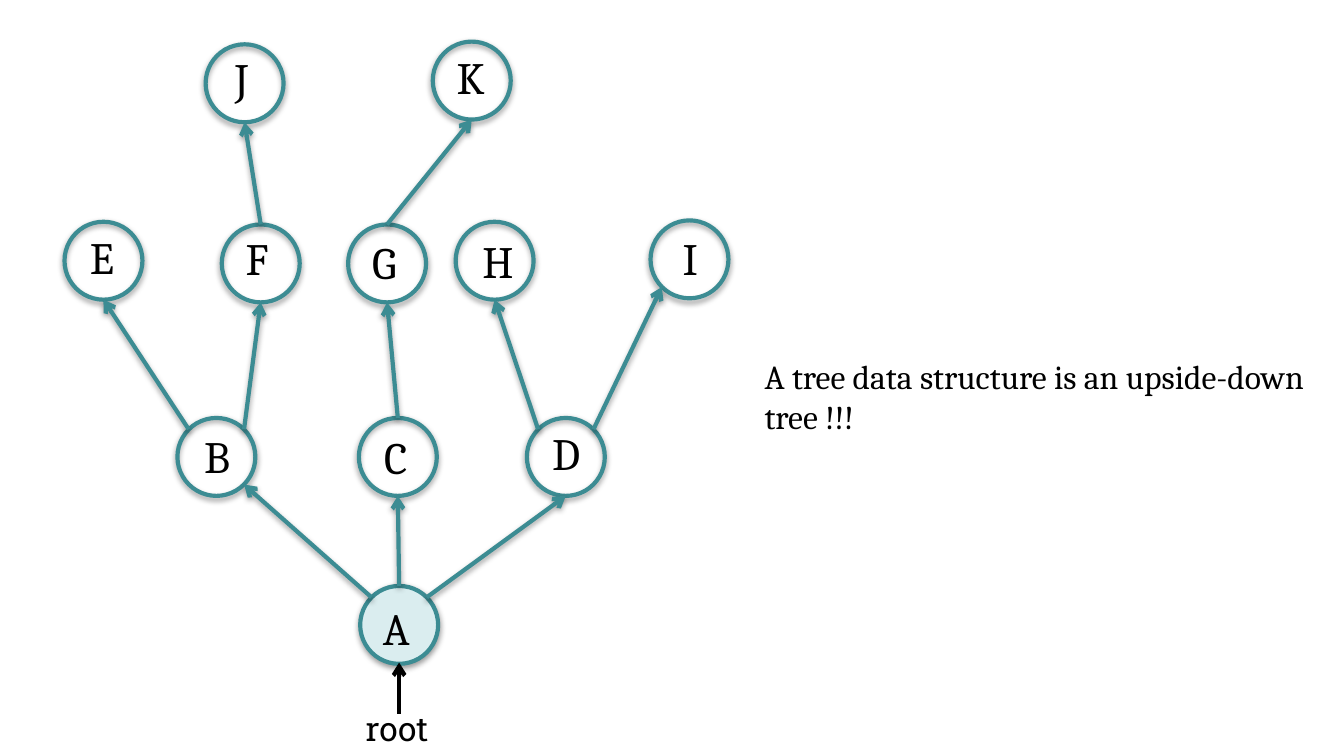
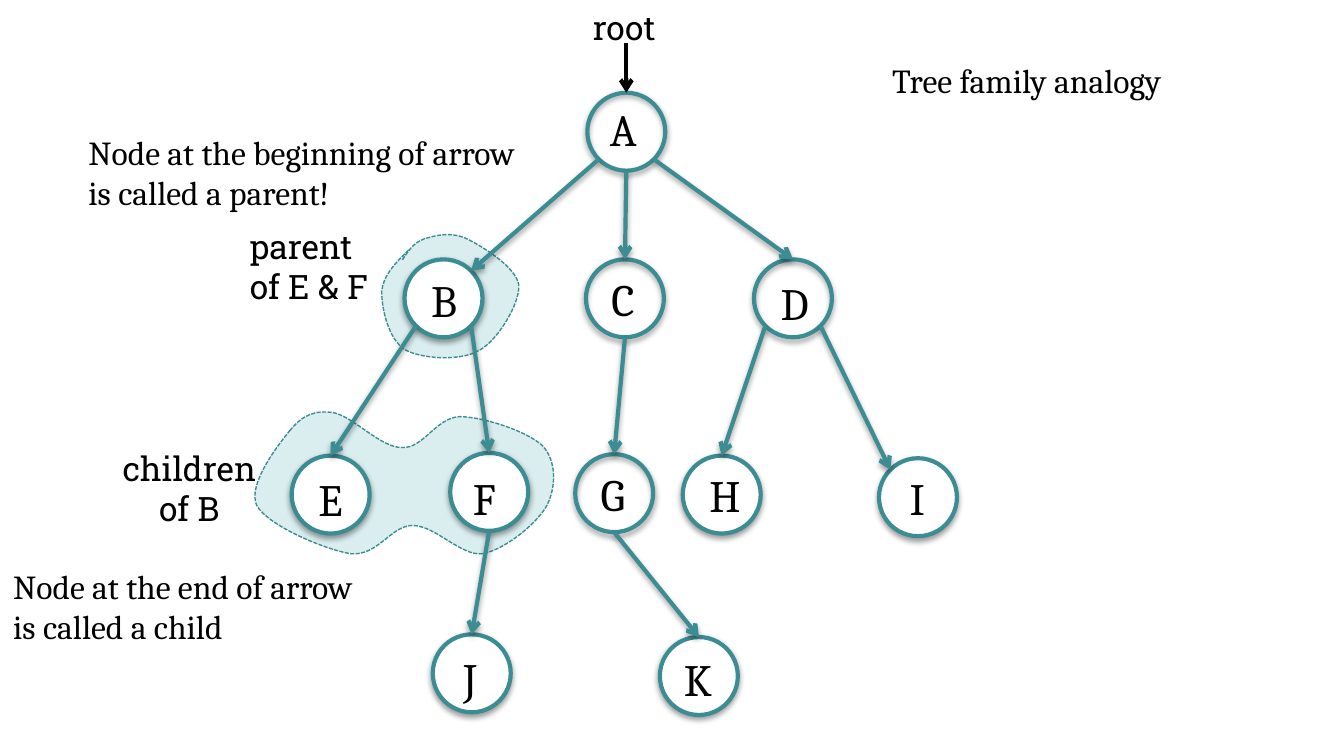
from lxml import etree
from pptx import Presentation, util as u
from pptx.dml.color import RGBColor
from pptx.enum import dml, shapes, text
from pptx.oxml.ns import qn

PX = 9144  # EMU in one px, at 100 px to the inch
NODE = 58
DIAGONAL = 0.71
SERIF, SLAB = "Cambria", "Roboto Slab"
COLORS = {"teal": "3C8C93", "tint": "DAEDEF", "white": "FFFFFF", "black": "000000"}

LABEL_WIDTHS = dict(A=40, B=39, C=38, D=41, E=37, F=36, G=41, H=41, I=29, J=31, K=38)

# Directions on a node's outline for a tree that grows downwards
BELOW, ABOVE = (0, 1), (0, -1)
BELOW_LEFT, BELOW_RIGHT = (-DIAGONAL, DIAGONAL), (DIAGONAL, DIAGONAL)
ABOVE_LEFT, ABOVE_RIGHT = (-DIAGONAL, -DIAGONAL), (DIAGONAL, -DIAGONAL)

EDGES = [
    ("A", BELOW_LEFT, "B", ABOVE_RIGHT),
    ("A", BELOW, "C", ABOVE),
    ("A", BELOW_RIGHT, "D", ABOVE),
    ("B", BELOW_LEFT, "E", ABOVE),
    ("B", BELOW_RIGHT, "F", ABOVE),
    ("C", BELOW, "G", ABOVE),
    ("D", BELOW_LEFT, "H", ABOVE),
    ("D", BELOW_RIGHT, "I", ABOVE_LEFT),
    ("F", BELOW, "J", ABOVE),
    ("G", BELOW, "K", ABOVE),
]

# Node: left, top, label left, label top
UPWARD_TREE = {
    "A": (268, 436, 275, 442), "B": (132, 311, 142, 314),
    "C": (267, 311, 276, 315), "D": (392, 311, 401, 312),
    "E": (48, 165, 57, 166), "F": (165, 167, 173, 167),
    "G": (259, 167, 267, 170), "H": (339, 165, 349, 169),
    "I": (484, 164, 498, 167), "J": (153, 33, 165, 33),
    "K": (322, 31, 330, 32),
}
DOWNWARD_TREE = {
    "A": (437, 69, 444, 71), "B": (301, 193, 311, 198),
    "C": (436, 193, 445, 197), "D": (561, 193, 571, 200),
    "E": (217, 339, 227, 346), "F": (335, 337, 342, 345),
    "G": (428, 338, 437, 342), "H": (508, 339, 518, 343),
    "I": (654, 341, 667, 345), "J": (322, 472, 335, 479),
    "K": (491, 474, 499, 480),
}

# Outlines: a box, a start point, then cubic curves (two controls and an end)
CHILDREN_REGION = (190, 307, 222, 105), (216, 320), [
    (206, 332, 184, 361, 191, 376), (199, 391, 242, 409, 261, 412),
    (281, 414, 291, 391, 307, 391), (324, 391, 343, 414, 359, 412),
    (376, 409, 400, 389, 407, 376), (414, 362, 414, 343, 404, 332),
    (393, 321, 359, 310, 342, 310), (324, 311, 315, 334, 299, 333),
    (283, 333, 263, 310, 248, 307), (234, 305, 225, 309, 216, 320),
]
PARENT_REGION = (284, 175, 101, 92), (304, 186), [
    (294, 196, 285, 205, 284, 217), (284, 230, 289, 252, 301, 260),
    (313, 267, 342, 269, 356, 261), (370, 254, 387, 226, 386, 212),
    (384, 199, 360, 184, 348, 178), (336, 172, 324, 175, 315, 178),
    (307, 181, 303, 188, 299, 194),
]


def px(*values):
    return [round(v * PX) for v in values]


def rgb(name):
    return RGBColor.from_string(COLORS[name])


def set_line(s, color, width):
    s.line.color.rgb = rgb(color)
    s.line.width = u.Pt(width)


def set_fill(s, color):
    if color:
        s.fill.solid()
        s.fill.fore_color.rgb = rgb(color)
    else:
        s.fill.background()


def add_effects(s, shadow):
    """Replace the theme's effects, with a soft shadow below or with none."""
    effects = etree.SubElement(s._element.spPr, qn("a:effectLst"))
    if shadow:
        outer = etree.SubElement(effects, qn("a:outerShdw"), blurRad="40000",
                                 dist="20000", dir="5400000", rotWithShape="0")
        black = etree.SubElement(outer, qn("a:srgbClr"), val=COLORS["black"])
        etree.SubElement(black, qn("a:alpha"), val="38000")


def add_text(slide, words, box, font=SERIF, size=18, wrap=True, align=None):
    tf = slide.shapes.add_textbox(*px(*box)).text_frame
    tf.word_wrap = wrap
    tf.auto_size = text.MSO_AUTO_SIZE.SHAPE_TO_FIT_TEXT
    p = tf.paragraphs[0]
    p.text = words
    p.alignment = align
    p.font.name = font
    p.font.size = u.Pt(size)
    p.font.color.rgb = rgb("black")


def add_arrow(slide, start, end, color="teal", shadow=True):
    s = slide.shapes.add_connector(shapes.MSO_CONNECTOR.STRAIGHT, *px(*start, *end))
    set_line(s, color, 2.25)
    etree.SubElement(s.line._get_or_add_ln(), qn("a:tailEnd"), type="arrow")
    add_effects(s, shadow)


def add_node(slide, left, top, fill):
    s = slide.shapes.add_shape(shapes.MSO_SHAPE.OVAL, *px(left, top, NODE, NODE))
    set_fill(s, fill)
    set_line(s, "teal", 2.25)
    add_effects(s, True)


def outline_point(node, direction, flip):
    """Point where an arrow meets a node; flip is -1 for an upward tree."""
    left, top = node[:2]
    dx, dy = direction
    radius = NODE / 2
    return left + radius * (1 + dx), top + radius * (1 + flip * dy)


def add_tree(slide, nodes, fills, flip=1):
    for name, (left, top, *_) in nodes.items():
        add_node(slide, left, top, fills.get(name))
    for parent, leave, child, arrive in EDGES:
        add_arrow(slide, outline_point(nodes[parent], leave, flip),
                  outline_point(nodes[child], arrive, flip))
    for name, (*_, left, top) in nodes.items():
        add_text(slide, name, (left, top, LABEL_WIDTHS[name], 50), size=24, wrap=False)


def add_root(slide, label_left, label_top, start, end):
    add_text(slide, "root", (label_left, label_top, 67, 40), SLAB, wrap=False,
             align=text.PP_ALIGN.CENTER)
    add_arrow(slide, start, end, "black", shadow=False)


def bend_outline(s, box, start, curves):
    """Fit a freeform to its box and turn its straight segments into curves."""
    left, top, width, height = box
    s.left, s.top, s.width, s.height = px(*box)
    outline = next(s._element.iter(qn("a:path")))
    for key, value in zip("wh", px(width, height)):
        outline.set(key, str(value))

    def add_points(parent, values):
        for x, y in zip(values[::2], values[1::2]):
            x, y = px(x - left, y - top)
            etree.SubElement(parent, qn("a:pt"), x=str(x), y=str(y))

    move = outline.find(qn("a:moveTo"))
    move.remove(move[0])
    add_points(move, start)
    for segment, curve in zip(outline.findall(qn("a:lnTo")), curves):
        bend = etree.Element(qn("a:cubicBezTo"))
        add_points(bend, curve)
        outline.replace(segment, bend)


def add_region(slide, box, start, curves):
    builder = slide.shapes.build_freeform(*px(*start))
    ends = [px(*curve[4:]) for curve in curves]
    builder.add_line_segments(ends, close=start == curves[-1][4:])
    s = builder.convert_to_shape()
    bend_outline(s, box, start, curves)
    set_fill(s, "tint")
    set_line(s, "teal", 0.75)
    s.line.dash_style = dml.MSO_LINE.SQUARE_DOT
    add_effects(s, False)


def build_upside_down(slide):
    add_tree(slide, UPWARD_TREE, {"A": "tint"}, flip=-1)
    add_root(slide, 262, 522, (297, 531), (297, 493))
    add_text(slide, "A tree data structure is an upside-down tree !!!",
             (559, 260, 422, 71))


def build_family(slide):
    add_region(slide, *CHILDREN_REGION)
    add_region(slide, *PARENT_REGION)
    add_tree(slide, DOWNWARD_TREE, dict.fromkeys("BEFHIJK", "white"))
    add_root(slide, 431, 0, (466, 32), (466, 69))
    add_text(slide, "parent of E & F", (176, 163, 119, 71), SLAB)
    add_text(slide, "children of B", (81, 328, 120, 71), SLAB,
             align=text.PP_ALIGN.CENTER)
    add_text(slide, "Tree family analogy", (654, 40, 230, 40), wrap=False)
    add_text(slide, "Node at the beginning of arrow is called a parent!",
             (56, 93, 346, 71))
    add_text(slide, "Node at the end of arrow is called a child", (0, 416, 286, 71))


def main():
    prs = Presentation()
    prs.slide_width, prs.slide_height = px(1000, 562.5)
    for build in (build_upside_down, build_family):
        slide = prs.slides.add_slide(prs.slide_layouts[6])
        slide.background.fill.solid()
        slide.background.fill.fore_color.rgb = rgb("white")
        build(slide)
    prs.save("out.pptx")


if __name__ == "__main__":
    main()
